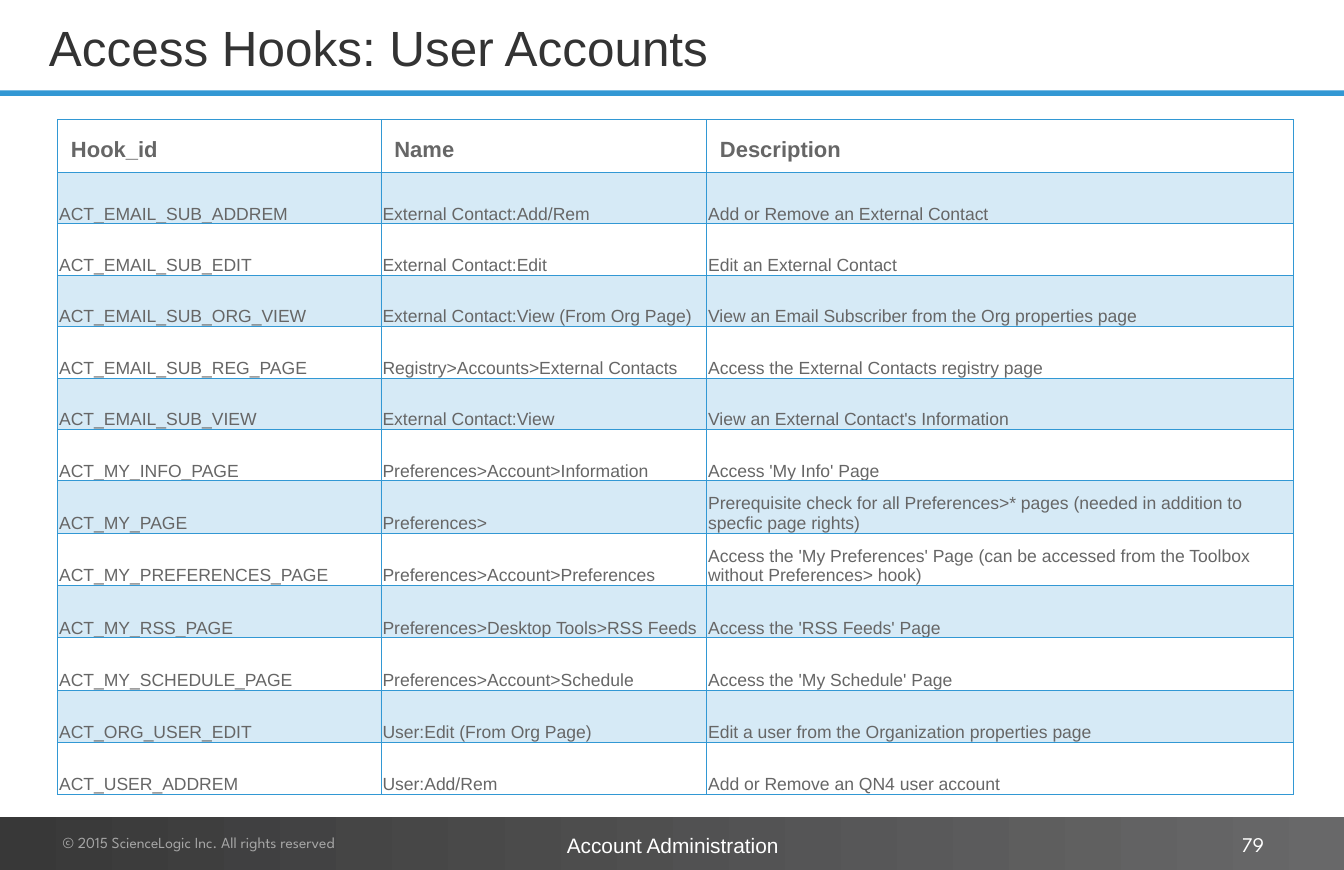
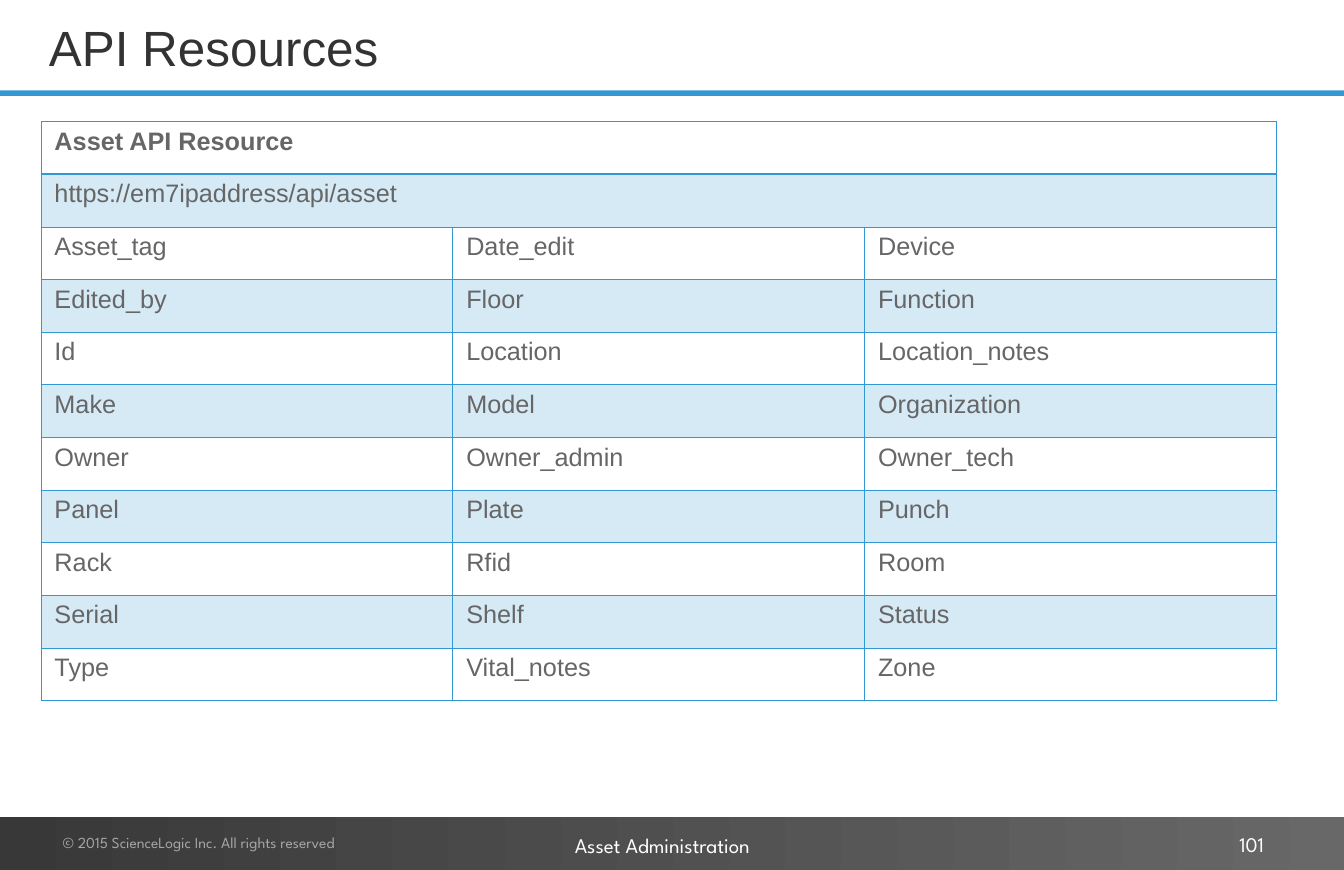
import pptx
import pptx.dml.color
import pptx.enum.shapes
import pptx.enum.text
import pptx.oxml
import pptx.oxml.ns
import pptx.util
from pptx.util import Cm

COLOURS = {
    "accent": "3298D4",
    "title": "333333",
    "body": "666666",
    "band start": "383838",
    "band end": "686869",
    "copyright": "A6A6A6",
    "footer": "FFFFFF",
}
ARIAL = "Arial"
SPARTAN = "League Spartan"
LEFT = pptx.enum.text.PP_ALIGN.LEFT
CENTER = pptx.enum.text.PP_ALIGN.CENTER
RIGHT = pptx.enum.text.PP_ALIGN.RIGHT
TOP = pptx.enum.text.MSO_ANCHOR.TOP
MIDDLE = pptx.enum.text.MSO_ANCHOR.MIDDLE
BOTTOM = pptx.enum.text.MSO_ANCHOR.BOTTOM

# Cell margins in centimetres: left, top, right, bottom
ROOMY = (0.43, 0.18, 0.43, 0.18)
TIGHT = (0.05, 0.05, 0.05, 0)

HOOKS = [
    ("Hook_id", "Name", "Description"),
    ("ACT_EMAIL_SUB_ADDREM", "External Contact:Add/Rem", "Add or Remove an External Contact"),
    ("ACT_EMAIL_SUB_EDIT", "External Contact:Edit", "Edit an External Contact"),
    ("ACT_EMAIL_SUB_ORG_VIEW", "External Contact:View (From Org Page)",
     "View an Email Subscriber from the Org properties page"),
    ("ACT_EMAIL_SUB_REG_PAGE", "Registry>Accounts>External Contacts",
     "Access the External Contacts registry page"),
    ("ACT_EMAIL_SUB_VIEW", "External Contact:View", "View an External Contact's Information"),
    ("ACT_MY_INFO_PAGE", "Preferences>Account>Information", "Access 'My Info' Page"),
    ("ACT_MY_PAGE", "Preferences>",
     "Prerequisite check for all Preferences>* pages (needed in addition to specfic page rights)"),
    ("ACT_MY_PREFERENCES_PAGE", "Preferences>Account>Preferences",
     "Access the 'My Preferences' Page (can be accessed from the Toolbox without Preferences> hook)"),
    ("ACT_MY_RSS_PAGE", "Preferences>Desktop Tools>RSS Feeds", "Access the 'RSS Feeds' Page"),
    ("ACT_MY_SCHEDULE_PAGE", "Preferences>Account>Schedule", "Access the 'My Schedule' Page"),
    ("ACT_ORG_USER_EDIT", "User:Edit (From Org Page)",
     "Edit a user from the Organization properties page"),
    ("ACT_USER_ADDREM", "User:Add/Rem", "Add or Remove an QN4 user account"),
]

# A row with a single text spans the whole table
RESOURCES = [
    ("Asset API Resource",),
    ("https://em7ipaddress/api/asset",),
    ("Asset_tag", "Date_edit", "Device"),
    ("Edited_by", "Floor", "Function"),
    ("Id", "Location", "Location_notes"),
    ("Make", "Model", "Organization"),
    ("Owner", "Owner_admin", "Owner_tech"),
    ("Panel", "Plate", "Punch"),
    ("Rack", "Rfid", "Room"),
    ("Serial", "Shelf", "Status"),
    ("Type", "Vital_notes", "Zone"),
]


def colour(name):
    return pptx.dml.color.RGBColor.from_string(COLOURS[name])


def write(text_frame, text, size, font_name, colour_name, alignment=LEFT, bold=False):
    text_frame.text = text
    paragraph = text_frame.paragraphs[0]
    paragraph.alignment = alignment
    for run in paragraph.runs:
        run.font.size = pptx.util.Pt(size)
        run.font.name = font_name
        run.font.bold = bold
        run.font.color.rgb = colour(colour_name)
    return paragraph


def add_band(slide, top, height):
    band = slide.shapes.add_shape(
        pptx.enum.shapes.MSO_SHAPE.RECTANGLE, 0, Cm(top), Cm(43.23), Cm(height))
    band.shadow.inherit = False
    band.line.fill.background()
    return band


def add_footer_text(slide, text, left, top, width, height, size, font_name,
                    colour_name="footer", alignment=LEFT, anchor=TOP):
    box = slide.shapes.add_textbox(Cm(left), Cm(top), Cm(width), Cm(height))
    text_frame = box.text_frame
    text_frame.word_wrap = True
    text_frame.vertical_anchor = anchor
    text_frame.margin_left = text_frame.margin_right = Cm(0.41)
    text_frame.margin_top = text_frame.margin_bottom = Cm(0.2)
    write(text_frame, text, size, font_name, colour_name, alignment)
    return box


def build_layout(layout, slide):
    """Draw the shared bands and copyright, then move them onto the layout."""
    for placeholder in list(layout.placeholders):
        if placeholder.placeholder_format.idx == 0:
            placeholder.left, placeholder.top = Cm(1.32), Cm(0.03)
            placeholder.width, placeholder.height = Cm(37.72), Cm(2.97)
        else:
            layout.shapes.element.remove(placeholder.element)

    title_rule = add_band(slide, 2.9, 0.18)
    title_rule.fill.solid()
    title_rule.fill.fore_color.rgb = colour("accent")

    footer_band = add_band(slide, 26.24, 1.75)
    footer_band.fill.gradient()
    footer_band.fill.gradient_angle = 0
    for stop, position, name in zip(
            footer_band.fill.gradient_stops, (0, 1), ("band start", "band end")):
        stop.position = position
        stop.color.rgb = colour(name)

    copyright_box = add_footer_text(
        slide, "© 2015 ScienceLogic Inc. All rights reserved",
        1.6, 26.57, 12.7, 1.02, 14, SPARTAN, "copyright")
    for shape in (title_rule, footer_band, copyright_box):
        layout.shapes.element.append(shape.element)


def add_title(slide, text):
    text_frame = slide.shapes.title.text_frame
    text_frame.auto_size = pptx.enum.text.MSO_AUTO_SIZE.NONE
    text_frame.vertical_anchor = MIDDLE
    write(text_frame, text, 45, ARIAL, "title")


def add_page_number(slide, number):
    add_footer_text(slide, number, 30.94, 26.57, 10.08, 1.09, 19, SPARTAN,
                    alignment=RIGHT, anchor=MIDDLE)


def set_borders(cell, top_width, bottom_width):
    widths = {"L": 1, "R": 1, "T": top_width, "B": bottom_width}
    properties = cell._tc.get_or_add_tcPr()
    for side, width in widths.items():
        properties.append(pptx.oxml.parse_xml(
            f'<a:ln{side} {pptx.oxml.ns.nsdecls("a")} w="{pptx.util.Pt(width)}">'
            f'<a:solidFill><a:srgbClr val="{COLOURS["accent"]}"/></a:solidFill>'
            f'</a:ln{side}>'))


def set_cell_fill(cell, shaded):
    if not shaded:
        cell.fill.background()
        return
    cell.fill.solid()
    cell.fill.fore_color.rgb = colour("accent")
    for tint in cell._tc.tcPr.findall("a:solidFill/a:srgbClr", pptx.oxml.ns._nsmap):
        tint.append(pptx.oxml.parse_xml(
            f'<a:alpha {pptx.oxml.ns.nsdecls("a")} val="20000"/>'))


def set_cell_margins(cell, margins):
    (cell.margin_left, cell.margin_top,
     cell.margin_right, cell.margin_bottom) = [Cm(margin) for margin in margins]


def add_banded_table(slide, rows, left, top, widths, heights, header_size, body_size,
                     body_margins=ROOMY, body_anchor=TOP, header_spacing=1):
    table = slide.shapes.add_table(
        len(rows), len(widths), Cm(left), Cm(top), Cm(sum(widths)), Cm(sum(heights))).table
    table.horz_banding = False
    for column, width in zip(table.columns, widths):
        column.width = Cm(width)
    for row_index, texts in enumerate(rows):
        is_header = row_index == 0
        table.rows[row_index].height = Cm(heights[row_index])
        for column_index in range(len(widths)):
            cell = table.cell(row_index, column_index)
            set_borders(cell, 2 if row_index == 1 else 1, 2 if is_header else 1)
            set_cell_fill(cell, row_index % 2 == 1)
            set_cell_margins(cell, ROOMY if is_header else body_margins)
            cell.vertical_anchor = TOP if is_header else body_anchor
        if len(texts) == 1:
            table.cell(row_index, 0).merge(table.cell(row_index, len(widths) - 1))
        for column_index, text in enumerate(texts):
            paragraph = write(table.cell(row_index, column_index).text_frame, text,
                              header_size if is_header else body_size,
                              ARIAL, "body", bold=is_header)
            if is_header:
                paragraph.line_spacing = float(header_spacing)


def main():
    presentation = pptx.Presentation()
    presentation.slide_width, presentation.slide_height = Cm(43.18), Cm(27.94)
    layout = presentation.slide_layouts[5]
    hooks_slide = presentation.slides.add_slide(layout)
    resources_slide = presentation.slides.add_slide(layout)
    build_layout(layout, hooks_slide)

    # Access hooks
    add_title(hooks_slide, "Access Hooks: User Accounts")
    add_banded_table(hooks_slide, HOOKS, 1.85, 3.84, [10.39, 10.46, 18.85],
                     [1.7] + [1.65] * 6 + [1.68] * 6, 20, 16,
                     TIGHT, BOTTOM, header_spacing=1.5)
    add_page_number(hooks_slide, "79")
    add_footer_text(hooks_slide, "Account Administration", 16.84, 26.54, 9.55, 1.22,
                    19, ARIAL, alignment=CENTER)

    # API resources
    add_title(resources_slide, "API Resources")
    add_banded_table(resources_slide, RESOURCES, 1.32, 3.91, [13.23] * 3,
                     [1.69] * len(RESOURCES), 23, 23)
    add_page_number(resources_slide, "101")
    add_footer_text(resources_slide, "Asset Administration", 18.06, 26.54, 6.78, 1.22,
                    19, SPARTAN)

    presentation.save("out.pptx")


if __name__ == "__main__":
    main()
